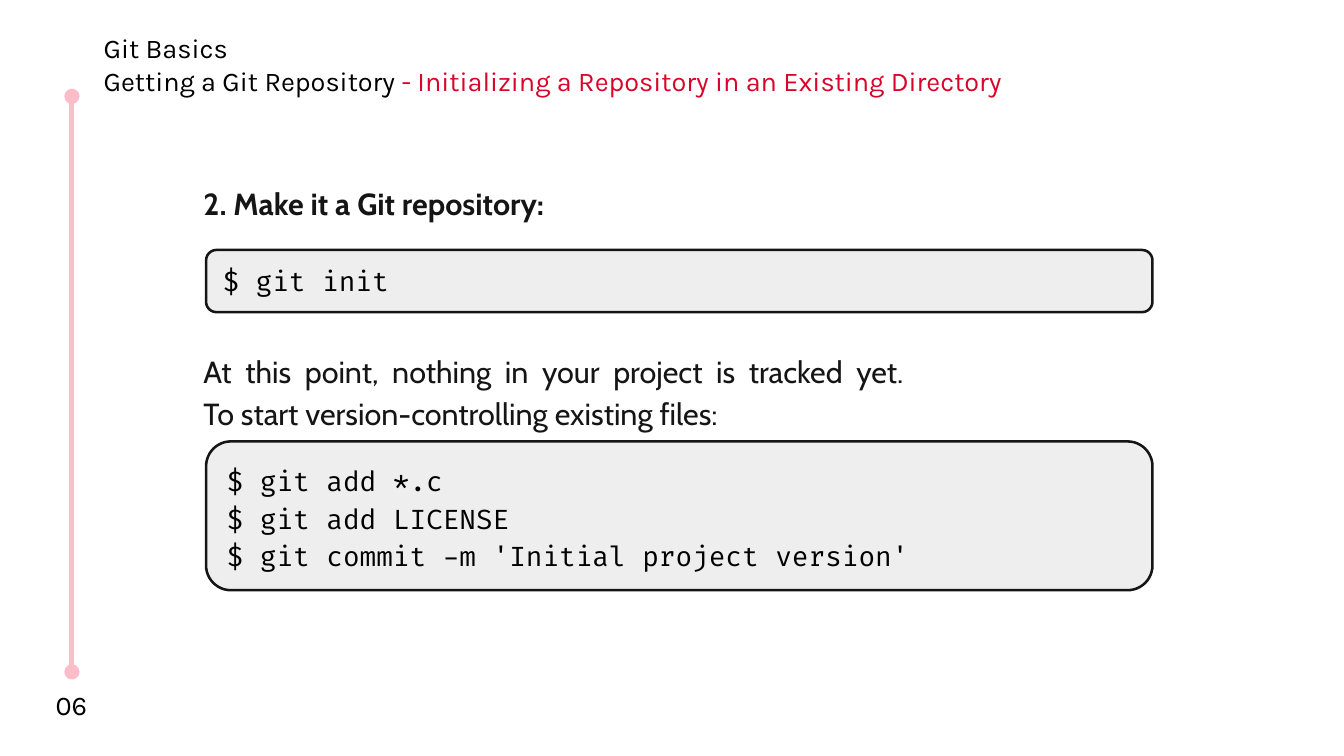
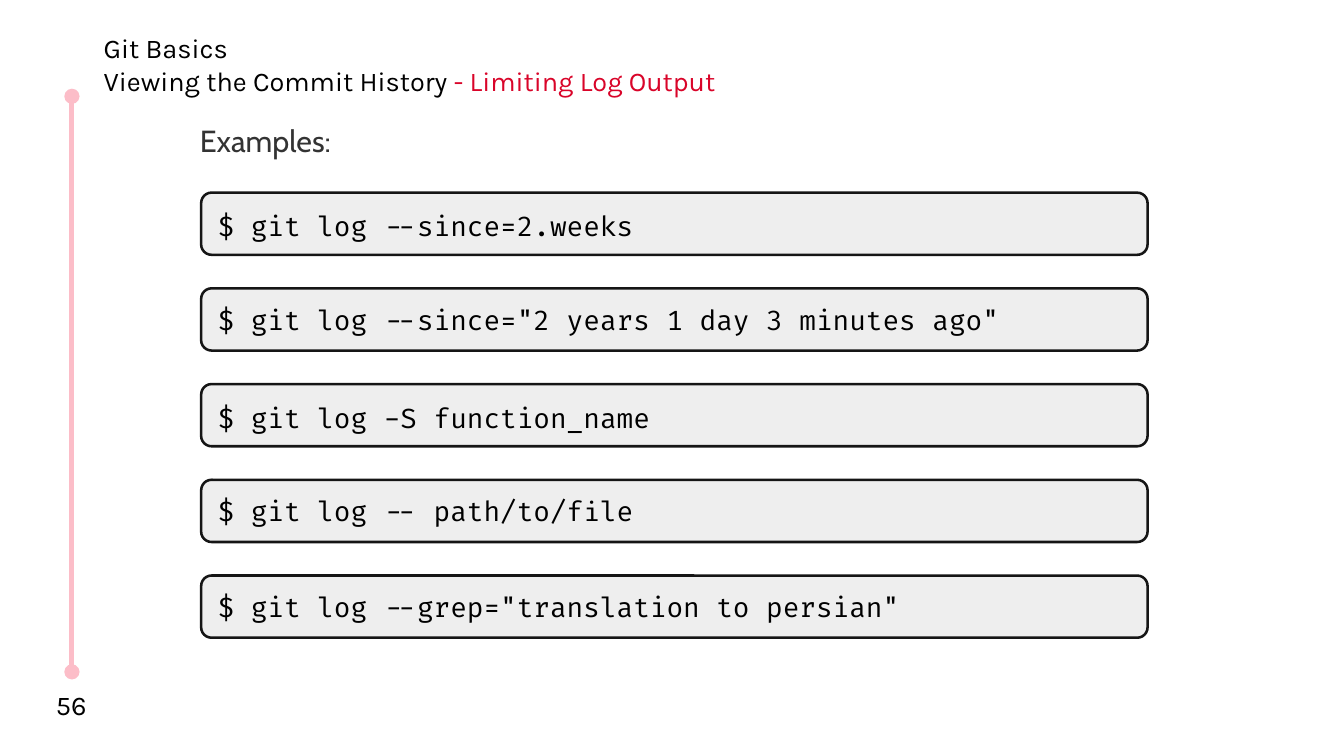
from lxml import etree
from pptx import Presentation
from pptx.dml.color import RGBColor
from pptx.enum.shapes import MSO_CONNECTOR, MSO_SHAPE
from pptx.enum.text import MSO_ANCHOR, MSO_AUTO_SIZE, PP_ALIGN
from pptx.oxml.ns import qn
from pptx.util import Inches, Pt

STRAIGHT = MSO_CONNECTOR.STRAIGHT
ROUNDED = MSO_SHAPE.ROUNDED_RECTANGLE
TOP, MIDDLE = MSO_ANCHOR.TOP, MSO_ANCHOR.MIDDLE
NO_AUTOFIT = MSO_AUTO_SIZE.NONE
LEFT, CENTER, JUSTIFY = PP_ALIGN.LEFT, PP_ALIGN.CENTER, PP_ALIGN.JUSTIFY

COLORS = {
    "black": "000000",
    "ink": "151515",
    "gray": "333333",
    "red": "D90429",
    "pink": "FCBDC8",
    "code_fill": "EEEEEE",
}
TITLE_FONT, BODY_FONT, CODE_FONT = "Karla", "Cabin", "Fira Code"
TITLE_ONLY = 5
LOOSE = 1.15
CODE_W, CODE_H = 7.76, 0.51


def color(name):
    return RGBColor.from_string(COLORS[name])


def set_font(p, name, size, fill, bold=False):
    p.font.name = name
    p.font.size = Pt(size)
    p.font.bold = bold
    p.font.color.rgb = color(fill)


def setup_frame(tf, anchor=TOP, pad_x=0.1, pad_y=0.05):
    tf.word_wrap = True
    tf.auto_size = NO_AUTOFIT
    tf.vertical_anchor = anchor
    tf.margin_left = tf.margin_right = Inches(pad_x)
    tf.margin_top = tf.margin_bottom = Inches(pad_y)


def add_text(s, box, lines, font, size, fill, align=LEFT, bold=False, spacing=1.0):
    """One paragraph, with its lines parted by line breaks."""
    tf = s.shapes.add_textbox(*map(Inches, box)).text_frame
    setup_frame(tf)
    p = tf.paragraphs[0]
    for i, line in enumerate(lines):
        if i:
            p.add_line_break()
        p.add_run().text = line
    p.alignment = align
    p.line_spacing = spacing
    set_font(p, font, size, fill, bold)


def add_code(s, box, commands, spacing=1.0):
    sp = s.shapes.add_shape(ROUNDED, *map(Inches, box))
    sp.shadow.inherit = False
    sp.fill.solid()
    sp.fill.fore_color.rgb = color("code_fill")
    sp.line.color.rgb = color("ink")
    sp.line.width = Pt(1.5)
    tf = sp.text_frame
    setup_frame(tf, MIDDLE, 0.11, 0.06)
    for i, command in enumerate(commands):
        p = tf.add_paragraph() if i else tf.paragraphs[0]
        p.text = command
        p.alignment = LEFT
        p.line_spacing = spacing
        set_font(p, CODE_FONT, 16, "black")


def add_title(s, box, section, topic):
    title = s.shapes.title
    title.left, title.top, title.width, title.height = map(Inches, box)
    tf = title.text_frame
    setup_frame(tf)
    tf.text = "Git Basics"
    p = tf.add_paragraph()
    p.add_run().text = section
    r = p.add_run()
    r.text = " - " + topic
    r.font.color.rgb = color("red")
    for p in tf.paragraphs:
        p.alignment = LEFT
        set_font(p, TITLE_FONT, 16, "black")


def add_rail(s, x, top, bottom):
    rail = s.shapes.add_connector(
        STRAIGHT, Inches(x), Inches(top), Inches(x), Inches(bottom))
    rail.line.color.rgb = color("pink")
    rail.line.width = Pt(3)
    ln = rail.line._get_or_add_ln()
    for end in ("a:headEnd", "a:tailEnd"):
        etree.SubElement(ln, qn(end), type="oval")
    etree.SubElement(rail._element.spPr, qn("a:effectLst"))


def new_slide(prs, number, section, topic):
    """Slide with the title, side rail and page number that all share."""
    s = prs.slides.add_slide(prs.slide_layouts[TITLE_ONLY])
    add_title(s, (0.75, 0.21, 9.29, 0.7), section, topic)
    add_rail(s, 0.59, 0.79, 5.51)
    add_text(s, (0.31, 5.6, 0.55, 0.4), [number], TITLE_FONT, 16, "black", CENTER)
    return s


def add_init_steps(s, left, top):
    # Heading and first command
    add_text(s, (left, top, 7.87, 0.45), ["2. Make it a Git repository:"],
             BODY_FONT, 18, "ink", bold=True, spacing=LOOSE)
    code_left = left + 0.12
    add_code(s, (code_left, top + 0.63, CODE_W, CODE_H), ["$ git init"])
    # Note and the commands that follow it
    note = ["At this point, nothing in your project is tracked yet.",
            "To start version-controlling existing files:"]
    add_text(s, (left, top + 1.38, 5.94, 0.79), note,
             BODY_FONT, 18, "ink", JUSTIFY, spacing=LOOSE)
    commands = ["$ git add *.c", "$ git add LICENSE",
                "$ git commit -m 'Initial project version'"]
    add_code(s, (code_left, top + 2.2, CODE_W, 1.22), commands, LOOSE)


def add_command_list(s, box, commands):
    """Code bars spread evenly over the height of the box."""
    left, top, width, height = box
    pitch = (height - CODE_H) / (len(commands) - 1)
    for i, (command, spacing) in enumerate(commands):
        add_code(s, (left, top + i * pitch, width, CODE_H), [command], spacing)


def main():
    prs = Presentation()
    prs.slide_width, prs.slide_height = Inches(11.02), Inches(6.2)

    # Initializing a repository
    s = new_slide(prs, "06", "Getting a Git Repository",
                  "Initializing a Repository in an Existing Directory")
    add_init_steps(s, 1.57, 1.42)

    # Limiting log output
    s = new_slide(prs, "56", "Viewing the Commit History", "Limiting Log Output")
    add_text(s, (1.54, 0.95, 8.11, 0.66), ["Examples:"], BODY_FONT, 18, "gray")
    add_command_list(s, (1.65, 1.58, CODE_W, 3.65), [
        ("$ git log --since=2.weeks", LOOSE),
        ('$ git log --since="2 years 1 day 3 minutes ago"', 1.0),
        ("$ git log -S function_name", LOOSE),
        ("$ git log -- path/to/file", 1.0),
        ('$ git log --grep="translation to persian"', 1.0),
    ])

    prs.save("out.pptx")


if __name__ == "__main__":
    main()
